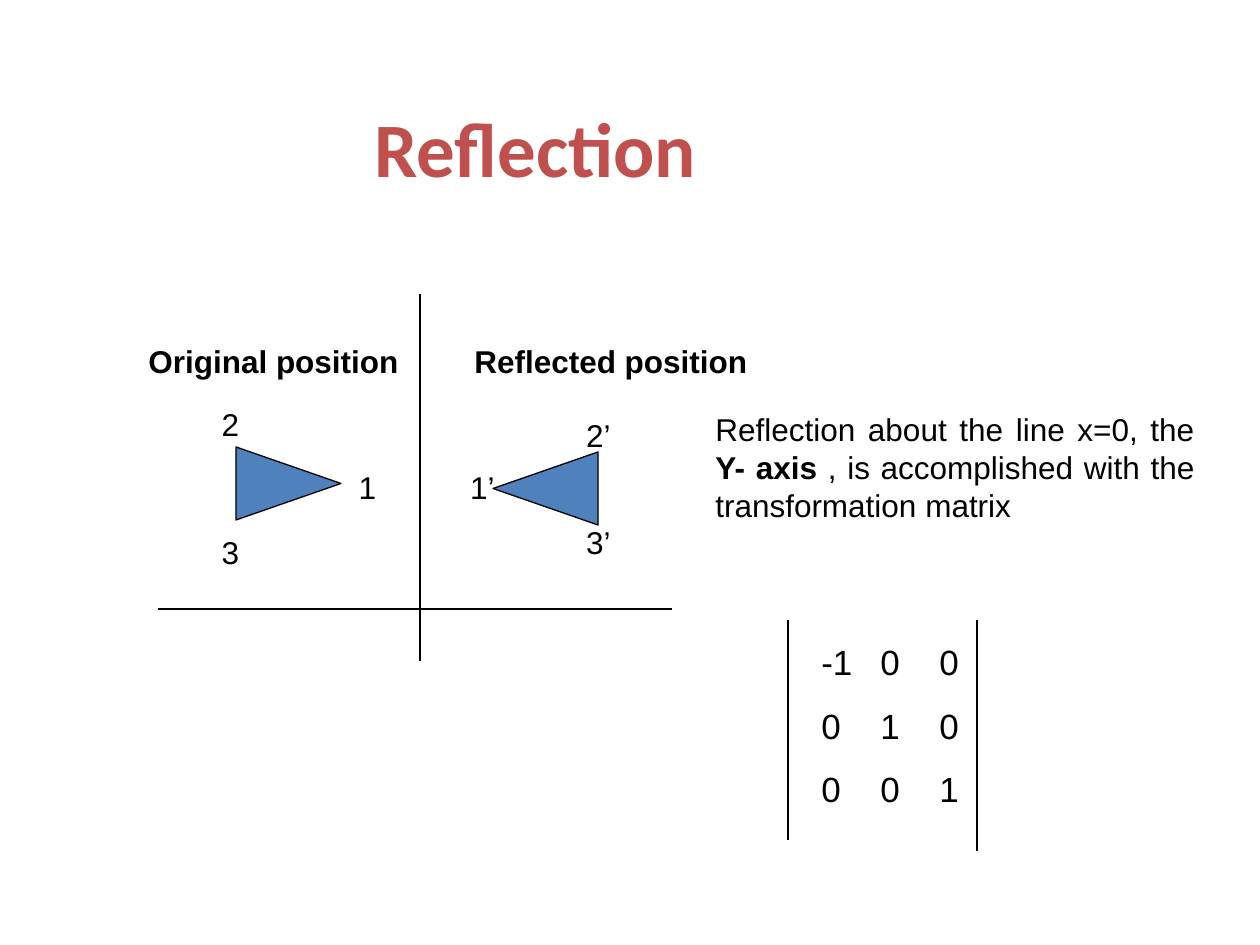
from lxml import etree
from pptx import Presentation
from pptx import util as u
from pptx.dml.color import RGBColor
from pptx.enum import shapes, text
from pptx.oxml.ns import qn

PX = 914400 // 126
BLACK = RGBColor(0x00, 0x00, 0x00)
RED = RGBColor(0xC0, 0x50, 0x4D)
BLUE = RGBColor(0x4F, 0x81, 0xBD)
LEFT, CENTER, JUSTIFY = (text.PP_ALIGN.LEFT, text.PP_ALIGN.CENTER,
                         text.PP_ALIGN.JUSTIFY)

TITLE = "Reflection"
MATRIX = [(-1, 0, 0), (0, 1, 0), (0, 0, 1)]
MATRIX_BOX = (809, 634, 179, 183)
COLUMN_GAP = 59
# x1, y1, x2, y2
AXES = [(420, 294, 420, 661), (158, 609, 672, 609)]
MATRIX_BARS = [(788, 620, 788, 840), (977, 620, 977, 851)]
# left, top, rotation
TRIANGLES = [(252, 431, 90), (509, 436, 270)]
TRIANGLE_SIZE = (73, 105)
# text, left, top
VERTICES = [("1’", 451, 462), ("3’", 567, 517), ("2’", 567, 410),
            ("3", 199, 527), ("2", 199, 399), ("1", 336, 462)]
VERTEX_SIZE = (63, 50)
# text, box
HEADINGS = [("Original position", (136, 336, 399, 50)),
            ("Reflected position", (462, 336, 315, 50))]
# text, bold
EXPLANATION = [("Reflection about the line x=0, the ", False),
               ("Y- axis", True),
               (" , is accomplished with the transformation matrix", False)]
EXPLANATION_BOX = (703, 404, 504, 184)


def px(*values):
    return [u.Emu(v * PX) for v in values]


def add_line(slide, ends):
    line = slide.shapes.add_connector(shapes.MSO_CONNECTOR.STRAIGHT, *px(*ends))
    line.line.color.rgb = BLACK
    line.line.width = u.Pt(0.75)
    etree.SubElement(line._element.spPr, qn("a:effectLst"))


def add_triangle(slide, left, top, rotation):
    sp = slide.shapes.add_shape(shapes.MSO_SHAPE.ISOSCELES_TRIANGLE,
                                *px(left, top, *TRIANGLE_SIZE))
    sp.rotation = rotation
    sp.shadow.inherit = False
    sp.fill.solid()
    sp.fill.fore_color.rgb = BLUE
    sp.line.color.rgb = BLACK
    sp.line.width = u.Pt(0.75)


def add_run(p, content, size, bold=False, font="Arial", color=BLACK):
    r = p.add_run()
    r.text = content
    r.font.name, r.font.size, r.font.bold = font, u.Pt(size), bold
    r.font.color.rgb = color


def add_box(slide, box):
    tf = slide.shapes.add_textbox(*px(*box)).text_frame
    tf.word_wrap = True
    return tf


def add_text(slide, box, runs, align):
    p = add_box(slide, box).paragraphs[0]
    p.alignment = align
    for content, bold in runs:
        add_run(p, content, 18, bold)


def add_matrix(slide):
    tf = add_box(slide, MATRIX_BOX)
    for i, row in enumerate(MATRIX):
        p = tf.paragraphs[0] if i == 0 else tf.add_paragraph()
        if i:
            p.space_before = u.Pt(12.5)
        tabs = etree.SubElement(p._p.get_or_add_pPr(), qn("a:tabLst"))
        for column in range(1, len(row)):
            etree.SubElement(tabs, qn("a:tab"), algn="l",
                             pos=str(column * COLUMN_GAP * PX))
        add_run(p, "\t".join(map(str, row)), 20)


def main():
    prs = Presentation()
    prs.slide_width, prs.slide_height = px(1260, 945)
    slide = prs.slides.add_slide(prs.slide_layouts[5])

    title = slide.shapes.title
    title.left, title.top, title.width, title.height = px(0, 42, 1071, 157)
    title.text_frame.vertical_anchor = text.MSO_ANCHOR.BOTTOM
    p = title.text_frame.paragraphs[0]
    p.alignment = CENTER
    add_run(p, TITLE, 44, True, "Calibri", RED)

    for ends in AXES + MATRIX_BARS:
        add_line(slide, ends)
    add_matrix(slide)
    for triangle in TRIANGLES:
        add_triangle(slide, *triangle)
    for label, left, top in VERTICES:
        add_text(slide, (left, top, *VERTEX_SIZE), [(label, False)], CENTER)
    for heading, box in HEADINGS:
        add_text(slide, box, [(heading, True)], LEFT)
    add_text(slide, EXPLANATION_BOX, EXPLANATION, JUSTIFY)

    prs.save("out.pptx")


if __name__ == "__main__":
    main()
